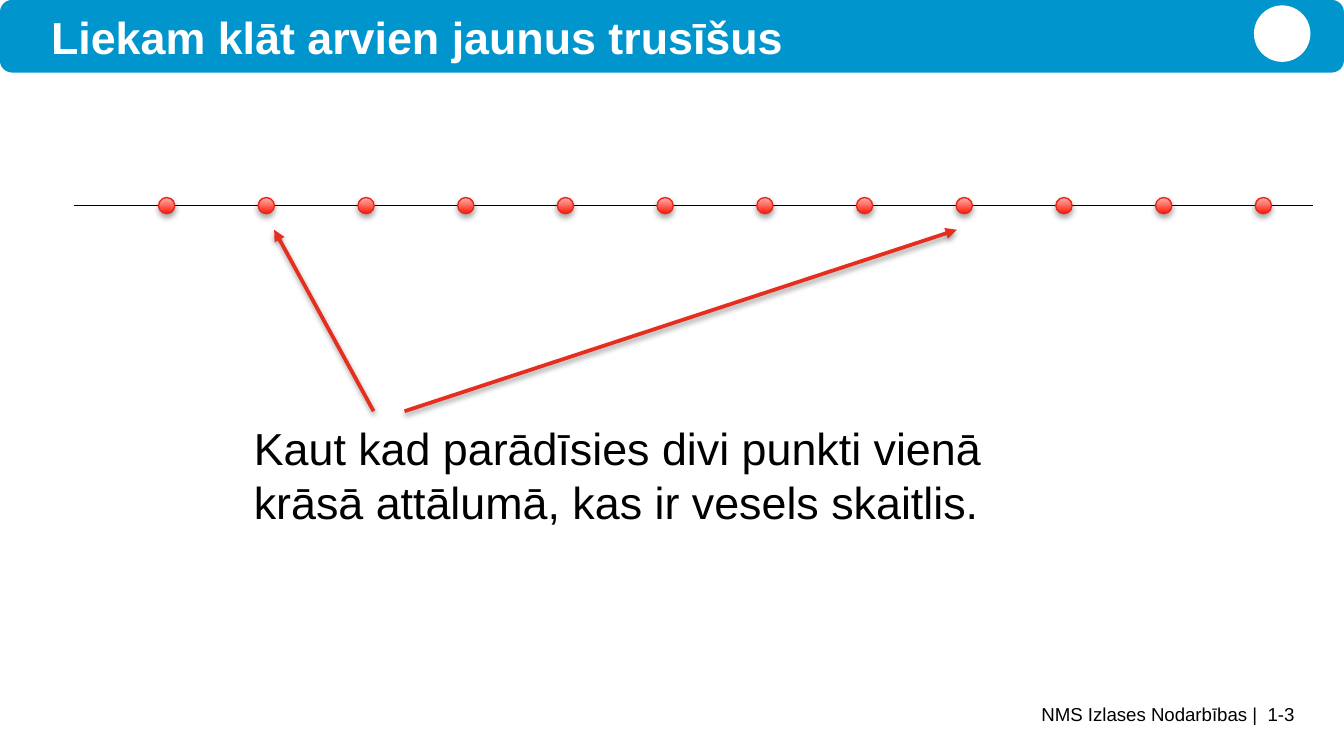
from lxml import etree
from pptx import Presentation
from pptx.dml.color import RGBColor
from pptx.enum.shapes import MSO_CONNECTOR, MSO_SHAPE
from pptx.enum.text import MSO_ANCHOR, PP_ALIGN
from pptx.oxml.ns import qn
from pptx.util import Inches, Pt

STRAIGHT = MSO_CONNECTOR.STRAIGHT
BANNER, OVAL = MSO_SHAPE.ROUNDED_RECTANGLE, MSO_SHAPE.OVAL
LEFT, RIGHT = PP_ALIGN.LEFT, PP_ALIGN.RIGHT
TOP = MSO_ANCHOR.TOP

COLORS = {
    name: RGBColor.from_string(value)
    for name, value in {
        "banner": "0095CD",
        "white": "FFFFFF",
        "black": "000000",
        "point_dark": "FF1805",
        "point_light": "FFB2B1",
        "point_edge": "E62818",
        "arrow": "E62D1E",
    }.items()
}

# Widescreen, 16:9
prs = Presentation()
prs.slide_width, prs.slide_height = Inches(10), Inches(10 * 9 / 16)
slide = prs.slides.add_slide(prs.slide_layouts[6])
shapes = slide.shapes


def set_shadow(shape, opacity=0, distance=0):
    """Give a shape a soft downward shadow, or none when opacity is 0."""
    effects = etree.SubElement(shape._element.spPr, qn("a:effectLst"))
    if opacity:
        outer = etree.SubElement(
            effects, qn("a:outerShdw"), blurRad=str(Pt(3.1)),
            dist=str(Pt(distance)), dir="5400000", rotWithShape="0")
        color = etree.SubElement(outer, qn("a:srgbClr"), val=str(COLORS["black"]))
        etree.SubElement(color, qn("a:alpha"), val=str(opacity * 1000))


# Banner with a plain disc in the emblem's place
banner = shapes.add_shape(BANNER, 0, 0, Inches(10), Inches(0.54))
emblem = shapes.add_shape(OVAL, Inches(9.33), Inches(0.04), Inches(0.42), Inches(0.42))
for part, color in ((banner, "banner"), (emblem, "white")):
    part.shadow.inherit = False
    part.fill.solid()
    part.fill.fore_color.rgb = COLORS[color]
    part.line.fill.background()

# Number line with equally spaced points
number_line = shapes.add_connector(
    STRAIGHT, Inches(0.55), Inches(1.53), Inches(9.77), Inches(1.53))
number_line.line.color.rgb = COLORS["black"]
number_line.line.width = Pt(0.75)
set_shadow(number_line)

POINT_COUNT, FIRST_POINT, LAST_POINT, POINT_SIZE = 12, 1.18, 9.34, 0.12
point_step = (LAST_POINT - FIRST_POINT) / (POINT_COUNT - 1)
for i in range(POINT_COUNT):
    point = shapes.add_shape(
        OVAL, Inches(FIRST_POINT + i * point_step), Inches(1.53 - POINT_SIZE / 2),
        Inches(POINT_SIZE), Inches(POINT_SIZE))
    point.fill.gradient()
    point.fill.gradient_angle = 90
    for stop, color in zip(point.fill.gradient_stops, ("point_dark", "point_light")):
        stop.color.rgb = COLORS[color]
    point.line.color.rgb = COLORS["point_edge"]
    point.line.width = Pt(0.75)
    set_shadow(point, 35, 1.8)

# Arrows from the remark to the two matching points
for start_x, end_x in ((2.78, 2.04), (3.01, 7.12)):
    arrow = shapes.add_connector(
        STRAIGHT, Inches(start_x), Inches(3.06), Inches(end_x), Inches(1.71))
    arrow.line.color.rgb = COLORS["arrow"]
    arrow.line.width = Pt(2)
    etree.SubElement(arrow.line._get_or_add_ln(), qn("a:tailEnd"), type="triangle")
    set_shadow(arrow, 38, 1.6)

# Title, remark and footer: text, box, insets, size, colour, bold, align
texts = (
    ("Liekam klāt arvien jaunus trusīšus",
     (0.38, 0.07, 8.27, 0.42), (0, 0), 24, "white", True, LEFT),
    ("Kaut kad parādīsies divi punkti vienā krāsā attālumā, kas ir vesels skaitlis.",
     (1.79, 3.08, 6.19, 0.91), (0.1, 0.05), 24, "black", False, LEFT),
    ("NMS Izlases Nodarbības |  1-3",
     (2.41, 5.23, 7.22, 0.33), (0, 0), 10, "black", False, RIGHT),
)
for text, box, (inset_x, inset_y), size, color, bold, align in texts:
    frame = shapes.add_textbox(*map(Inches, box)).text_frame
    frame.word_wrap = True
    frame.vertical_anchor = TOP
    frame.margin_left = frame.margin_right = Inches(inset_x)
    frame.margin_top = frame.margin_bottom = Inches(inset_y)
    paragraph = frame.paragraphs[0]
    paragraph.alignment = align
    run = paragraph.add_run()
    run.text = text
    run.font.name = "Arial"
    run.font.size = Pt(size)
    run.font.bold = bold
    run.font.color.rgb = COLORS[color]

prs.save("out.pptx")
